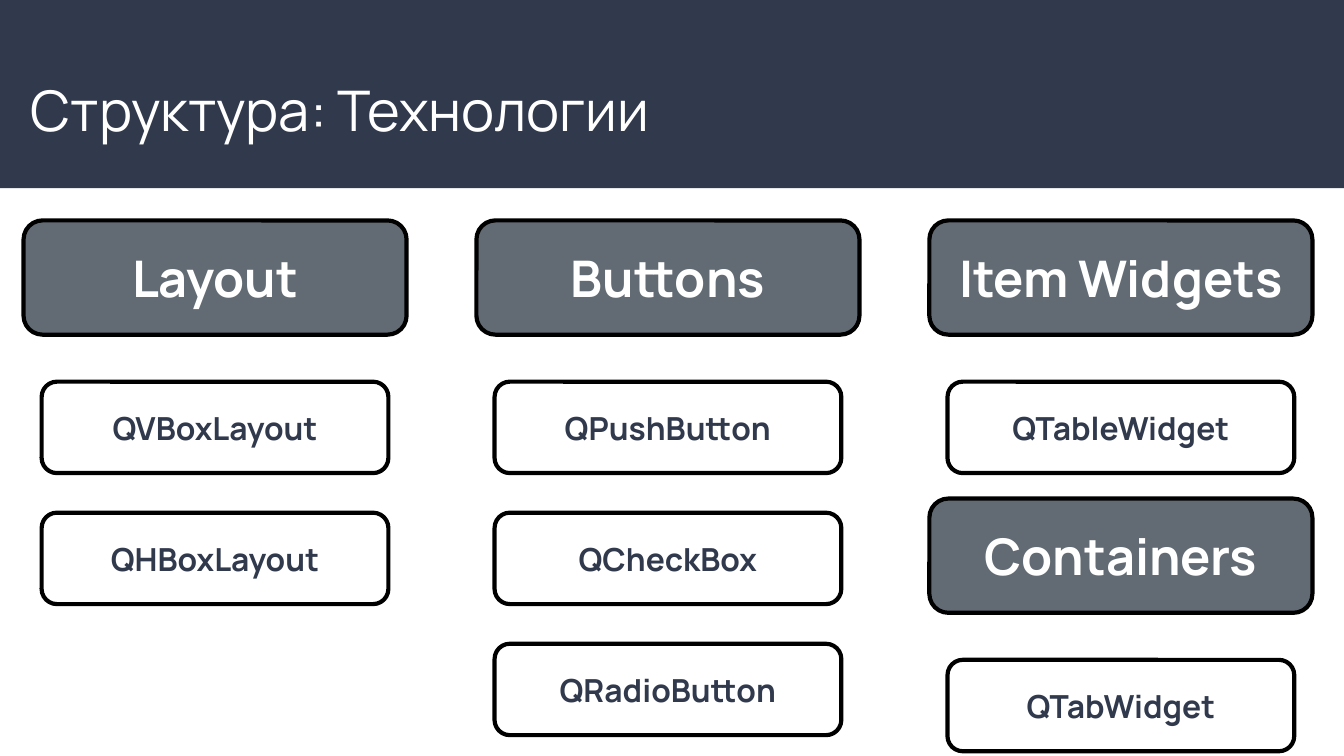
from pptx import Presentation
from pptx.dml.color import RGBColor
from pptx.enum.shapes import MSO_SHAPE
from pptx.enum.text import MSO_ANCHOR, PP_ALIGN
from pptx.util import Inches, Pt

WIDE = 10
HIGH = WIDE * 9 / 16
NAVY, GREY, WHITE, BLACK = "31394D", "626B73", "FFFFFF", "000000"
FONT = "Manrope"

# Columns are spaced by their centre lines
MID, COL_STEP = 1.6, 3.37
HEAD_SIZE, ITEM_SIZE = (2.85, 0.85), (2.58, 0.68)
ITEM_DROP, ITEM_STEP = 1.2, 1.95 / 2
TOP, LOW = 1.64, 3.71

# Column, top of the group, heading, items
GROUPS = [
    (0, TOP, "Layout", ["QVBoxLayout", "QHBoxLayout"]),
    (1, TOP, "Buttons", ["QPushButton", "QCheckBox", "QRadioButton"]),
    (2, TOP, "Item Widgets", ["QTableWidget"]),
    (2, LOW, "Containers", ["QTabWidget"]),
]


def paint(target, color):
    """Give a fill one solid colour."""
    target.solid()
    target.fore_color.rgb = RGBColor.from_string(color)


def write(shape, text, size, color, bold=False, align=PP_ALIGN.LEFT,
          anchor=MSO_ANCHOR.TOP):
    frame = shape.text_frame
    frame.word_wrap = True
    frame.vertical_anchor = anchor
    frame.margin_left = frame.margin_right = Inches(0.1)
    frame.margin_top = frame.margin_bottom = Inches(0.1)
    frame.text = text
    line = frame.paragraphs[0]
    line.alignment = align
    font = line.runs[0].font
    font.name, font.size, font.bold = FONT, Pt(size), bold
    paint(font.fill, color)


def add_band(slide, title):
    band = slide.shapes.add_shape(
        MSO_SHAPE.RECTANGLE, 0, 0, Inches(WIDE), Inches(1.4))
    band.shadow.inherit = False
    paint(band.fill, NAVY)
    band.line.fill.background()
    box = slide.shapes.add_textbox(
        Inches(0.13), Inches(0.46), Inches(9.32), Inches(0.68))
    write(box, title, 30, WHITE)


def add_card(slide, mid, top, area, text, size, fill, color):
    """Add an outlined round box centred on a column line."""
    wide, high = area
    card = slide.shapes.add_shape(
        MSO_SHAPE.ROUNDED_RECTANGLE, Inches(mid - wide / 2), Inches(top),
        Inches(wide), Inches(high))
    card.shadow.inherit = False
    paint(card.fill, fill)
    paint(card.line.fill, BLACK)
    card.line.width = Pt(2.25)
    write(card, text, size, color, True, PP_ALIGN.CENTER, MSO_ANCHOR.MIDDLE)


def add_group(slide, col, top, head, items):
    mid = MID + col * COL_STEP
    add_card(slide, mid, top, HEAD_SIZE, head, 27, GREY, WHITE)
    for row, item in enumerate(items):
        add_card(slide, mid, top + ITEM_DROP + row * ITEM_STEP, ITEM_SIZE,
                 item, 17, WHITE, NAVY)


def main():
    deck = Presentation()
    deck.slide_width, deck.slide_height = Inches(WIDE), Inches(HIGH)
    slide = deck.slides.add_slide(deck.slide_layouts[6])
    paint(slide.background.fill, WHITE)
    add_band(slide, "Структура: Технологии")
    for group in GROUPS:
        add_group(slide, *group)
    deck.save("out.pptx")


if __name__ == "__main__":
    main()
